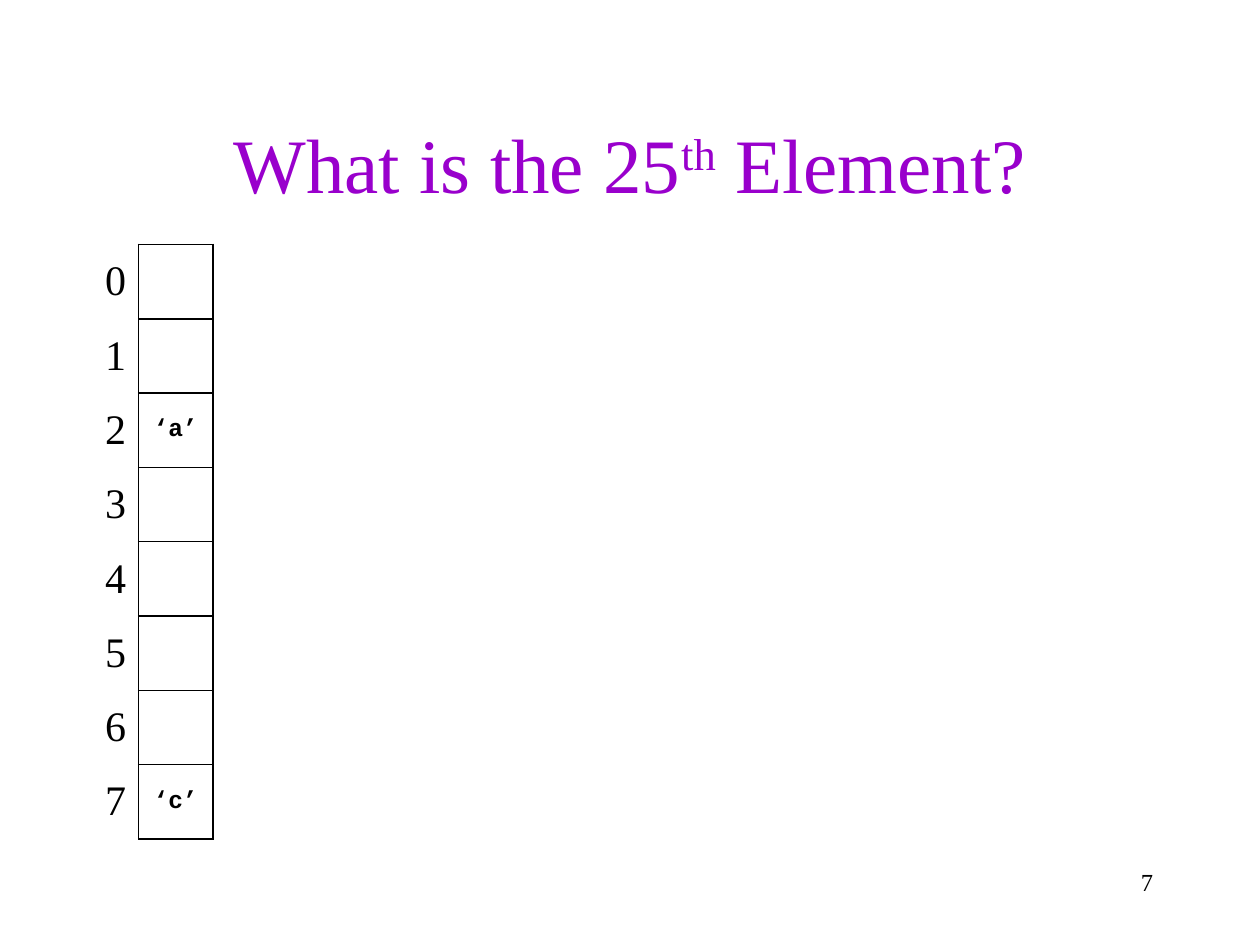
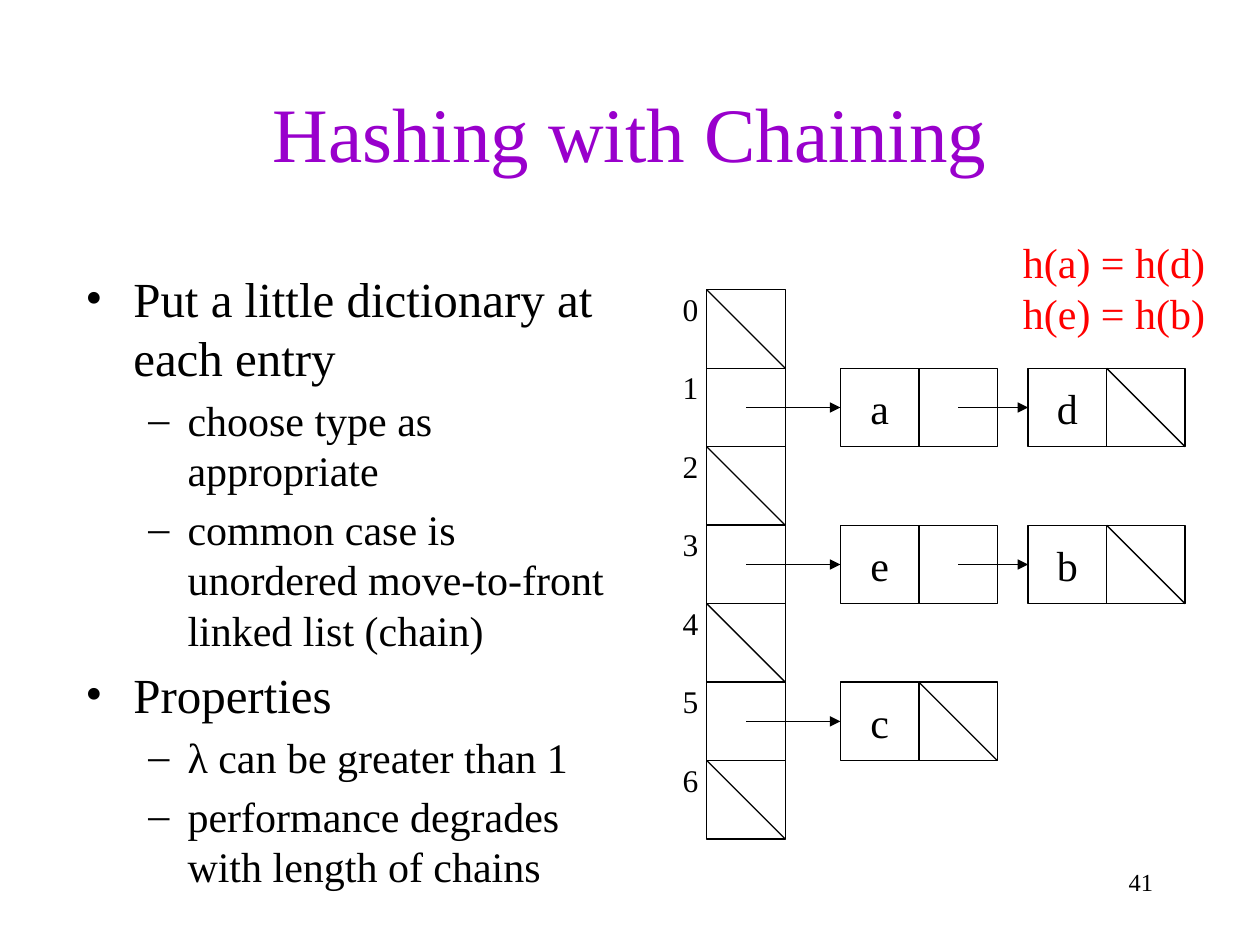
from lxml import etree
from pptx import Presentation
from pptx import util as u
from pptx.dml.color import RGBColor
from pptx.enum import shapes as s, text as t
from pptx.oxml import ns

PURPLE = RGBColor(0x99, 0x00, 0xCC)
BLACK = RGBColor(0, 0, 0)
RED = RGBColor(0xFF, 0, 0)
SERIF, MONO = "Times New Roman", "Courier New"
LEFT, MID, RIGHT = t.PP_ALIGN.LEFT, t.PP_ALIGN.CENTER, t.PP_ALIGN.RIGHT
TITLE_ONLY = 5


def put(item, **vals):
    for key, val in vals.items():
        setattr(item, key, val)


def add(node, tag, **attrs):
    return etree.SubElement(node, ns.qn(tag), attrs)


def box(*sides):
    return [u.Inches(n) for n in sides]


class Deck:
    def __init__(self):
        self.prs = Presentation()
        put(self.prs, slide_width=u.Inches(10), slide_height=u.Inches(7.5))
        self.font = {"name": SERIF, "bold": False}
        self.slide = None

    def start(self, top, parts, page):
        """Begin a slide; parts are (wording, baseline percent) pairs."""
        layout = self.prs.slide_layouts[TITLE_ONLY]
        self.slide = self.prs.slides.add_slide(layout)
        title = self.slide.shapes.title
        left, top, width, height = box(0.75, top, 8.5, 1.25)
        put(title, left=left, top=top, width=width, height=height)
        put(title.text_frame, word_wrap=True, auto_size=t.MSO_AUTO_SIZE.NONE,
            vertical_anchor=t.MSO_ANCHOR.MIDDLE)
        par = title.text_frame.paragraphs[0]
        par.alignment = MID
        for words, lift in parts:
            run = self.run(par, words, 44, PURPLE)
            if lift:
                run._r.get_or_add_rPr().set("baseline", str(lift * 1000))
        self.text((7.17, 6.83, 2.08, 0.5), [page], 14, side=RIGHT, wrap=True)

    def run(self, par, words, size, color=BLACK, **font):
        run = par.add_run()
        run.text = words
        put(run.font, size=u.Pt(size), **{**self.font, **font})
        run.font.color.rgb = color
        return run

    def pars(self, frame, count):
        """Yield count paragraphs of the frame, the first being there already."""
        for i in range(count):
            yield frame.add_paragraph() if i else frame.paragraphs[0]

    def text(self, place, lines, size, color=BLACK, side=LEFT, wrap=False):
        frame = self.slide.shapes.add_textbox(*box(*place)).text_frame
        frame.word_wrap = wrap
        for par, line in zip(self.pars(frame, len(lines)), lines):
            par.alignment = side
            self.run(par, line, size, color)

    def bullets(self, place, items):
        """Items are (level, wording) pairs."""
        looks = [(28, 0.38, 0.38, "•"), (24, 0.81, 0.31, "–")]
        frame = self.slide.shapes.add_textbox(*box(*place)).text_frame
        frame.word_wrap = True
        for par, (level, words) in zip(self.pars(frame, len(items)), items):
            size, left, hang, mark = looks[level]
            put(par, level=level, space_before=u.Pt(size * 0.2))
            props = par._p.get_or_add_pPr()
            props.set("marL", str(u.Inches(left)))
            props.set("indent", str(-u.Inches(hang)))
            add(props, "a:buFont", typeface=SERIF)
            add(props, "a:buChar", char=mark)
            self.run(par, words, size)

    def cell(self, x, y, side, words=""):
        shape = self.slide.shapes.add_shape(
            s.MSO_SHAPE.RECTANGLE, *box(x, y, side, side))
        shape.shadow.inherit = False
        shape.fill.background()
        shape.line.color.rgb = BLACK
        shape.line.width = u.Pt(0.75)
        if words:
            put(shape.text_frame, word_wrap=False,
                vertical_anchor=t.MSO_ANCHOR.MIDDLE)
            par = shape.text_frame.paragraphs[0]
            par.alignment = MID
            self.run(par, words, 24)

    def line(self, x, y, x2, y2, arrow=False):
        line = self.slide.shapes.add_connector(
            s.MSO_CONNECTOR.STRAIGHT, *box(x, y, x2, y2))
        line.line.color.rgb = BLACK
        line.line.width = u.Pt(0.75)
        props = line._element.spPr
        if arrow:
            add(props.find(ns.qn("a:ln")), "a:tailEnd", type="triangle")
        add(props, "a:effectLst")

    def slash(self, x, y, side):
        self.line(x, y, x + side, y + side)

    def edge(self, cell, names):
        props = cell._tc.get_or_add_tcPr()
        for spot, name in enumerate(names):
            ln = etree.Element(ns.qn(f"a:ln{name}"), w=str(u.Pt(1)))
            add(add(ln, "a:solidFill"), "a:srgbClr", val=str(BLACK))
            props.insert(spot, ln)

    def array(self, x, y, side, rows, held):
        """Indexed column of slots; held maps an index to its value."""
        grid = self.slide.shapes.add_table(
            rows, 2, *box(x, y, 2 * side, rows * side)).table
        put(grid, first_row=False, horz_banding=False)
        for col in grid.columns:
            col.width = u.Inches(side)
        for i, row in enumerate(grid.rows):
            row.height = u.Inches(side)
            index, slot = row.cells
            for cell, names in ((index, "R"), (slot, "LRTB")):
                cell.vertical_anchor = t.MSO_ANCHOR.MIDDLE
                cell.fill.background()
                self.edge(cell, names)
            par = index.text_frame.paragraphs[0]
            par.alignment = RIGHT
            self.run(par, str(i), 24)
            if i in held:
                par = slot.text_frame.paragraphs[0]
                par.alignment = MID
                self.run(par, held[i], 14, name=MONO, bold=True)

    def chains(self, x, y, side, rows, held):
        """Bucket column; held maps a bucket to the keys chained to it."""
        first, step = 6.67, 1.49
        for i in range(rows):
            top = y + i * side
            mid = top + side / 2
            self.cell(x, top, side)
            self.text((x - 0.29, top - 0.05, 0.33, 0.4), [str(i)], 18)
            tail = x
            for n, key in enumerate(held.get(i, "")):
                node = first + n * step
                self.line(tail + side / 2, mid, node, mid, arrow=True)
                self.cell(node, top, side, key)
                tail = node + side
                self.cell(tail, top, side)
            self.slash(tail, top, side) if i not in held or tail > x else None


def main():
    deck = Deck()
    deck.start(0.67, [("What is the 25", 0), ("th", 30), (" Element?", 0)], "7")
    deck.array(0.51, 1.94, 0.59, 8, {2: "‘a’", 7: "‘c’"})

    deck.start(0.42, [("Hashing with Chaining", 0)], "41")
    deck.chains(5.61, 2.3, 4.36 / 7, 7, {1: "ad", 3: "eb", 5: "c"})
    deck.bullets((0.58, 2.08, 4.42, 4.5), [
        (0, "Put a little dictionary at each entry"),
        (1, "choose type as appropriate"),
        (1, "common case is unordered move-to-front linked list (chain)"),
        (0, "Properties"),
        (1, "λ can be greater than 1"),
        (1, "performance degrades with length of chains"),
    ])
    deck.text((8.02, 1.83, 1.65, 0.9), ["h(a) = h(d)", "h(e) = h(b)"], 24, RED)
    deck.prs.save("out.pptx")


if __name__ == "__main__":
    main()
